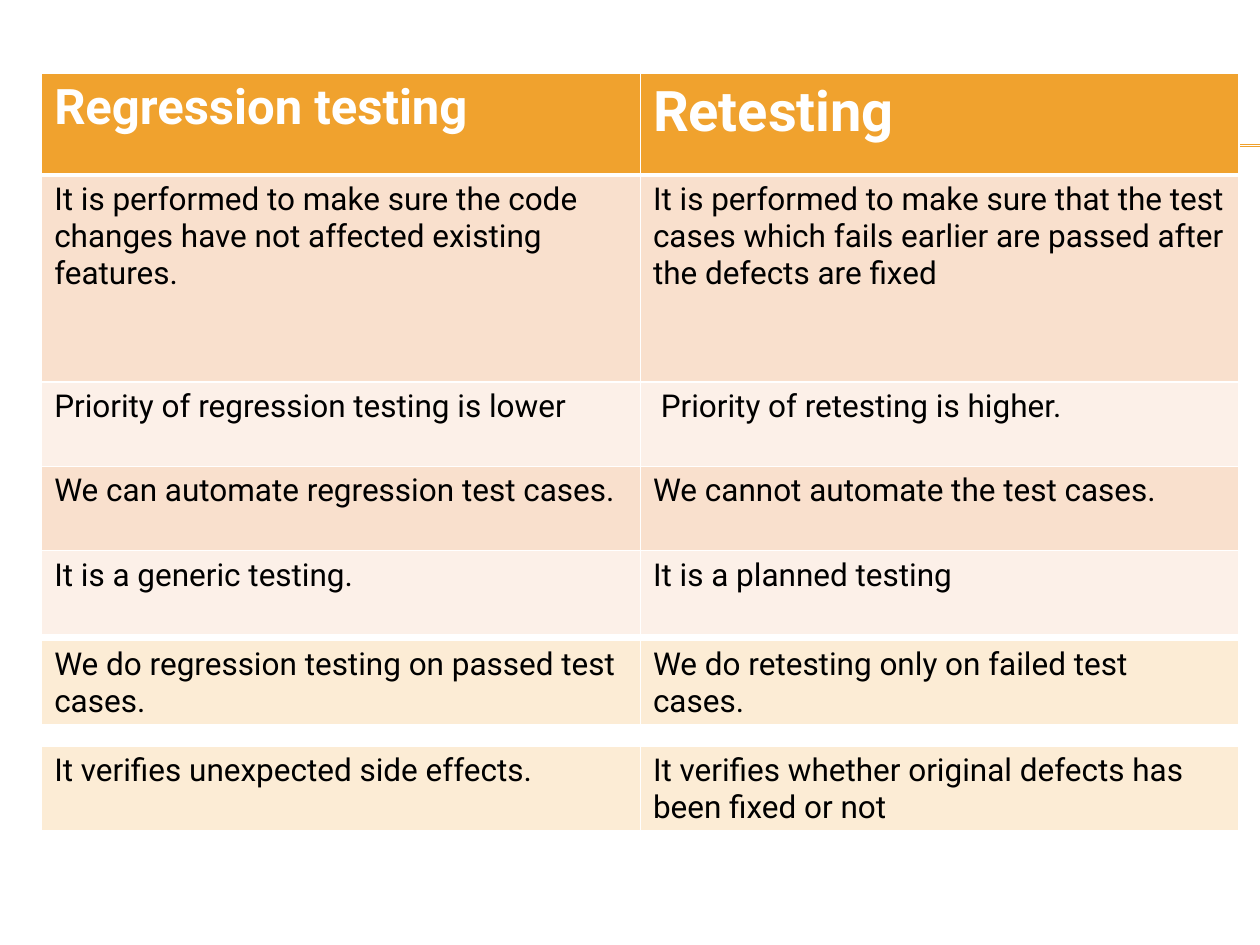
from lxml.etree import SubElement as Sub
from pptx import Presentation as Deck
from pptx.dml.color import RGBColor as Rgb
from pptx.enum.shapes import MSO_CONNECTOR as Link
from pptx.oxml.ns import qn
from pptx.util import Cm, Pt

hues = {"gold": "F0A22E", "white": "FFFFFF", "black": "000000",
        "peach": "F9E0CD", "blush": "FCF0E8", "cream": "FCECD5"}
body = {"name": "Roboto", "size": Pt(18), "bold": False}
head = {"name": "Roboto", "size": Pt(28), "bold": True}
main = [
    (2.06, "gold", "Regression testing", "Retesting"),
    (4.17, "peach",
     "It is performed to make sure the code changes have not affected existing features.",
     "It is performed to make sure that the test cases which fails earlier are passed after the defects are fixed"),
    (1.7, "blush", "Priority of regression testing is lower", " Priority of retesting is higher."),
    (1.7, "peach", "We can automate regression test cases.", "We cannot automate the test cases."),
    (1.7, "blush", "It is a generic testing.", "It is a planned testing"),
]
scope = [(1.22, "cream", "We do regression testing on passed test cases.",
          "We do retesting only on failed test cases.")]
goal = [(0.81, "cream", "It verifies unexpected side effects.",
         "It verifies whether original defects has been fixed or not")]

deck = Deck()
deck.slide_width, deck.slide_height = Cm(25.4), Cm(19.05)
slide = deck.slides.add_slide(deck.slide_layouts[6])

for top in (2.92, 2.95):
    rule = slide.shapes.add_connector(Link.STRAIGHT, Cm(1.42), Cm(top), Cm(25.4), Cm(top))
    rule.line.color.rgb = Rgb.from_string(hues["gold"])
    rule.line.width = Pt(0.75)
    Sub(rule._element.spPr, qn("a:effectLst"))

for top, rows in ((1.47, main), (12.9, scope), (15.04, goal)):
    high = sum(row[0] for row in rows)
    grid = slide.shapes.add_table(len(rows), 2, Cm(0.84), Cm(top), Cm(24.13), Cm(high)).table
    for col in grid.columns:
        col.width = Cm(12.07)
    for r, (tall, fill, *texts) in enumerate(rows):
        grid.rows[r].height = Cm(tall)
        for c, text in enumerate(texts):
            cell = grid.cell(r, c)
            props = cell._tc.get_or_add_tcPr()
            wide = {"lnL": 1, "lnR": 1, "lnT": 3 if r == 1 else 1, "lnB": 3 if r == 0 else 1}
            for side, width in wide.items():
                edge = Sub(props, qn("a:" + side), w=str(Pt(width)))
                Sub(Sub(edge, qn("a:solidFill")), qn("a:srgbClr"), val=hues["white"])
            cell.fill.solid()
            cell.fill.fore_color.rgb = Rgb.from_string(hues[fill])
            cell.text = text
            font = cell.text_frame.paragraphs[0].runs[0].font
            top_row = fill == "gold"
            for key, value in (head if top_row else body).items():
                setattr(font, key, value)
            font.color.rgb = Rgb.from_string(hues["white" if top_row else "black"])
            if text == "Retesting":
                font.size = Pt(32)

deck.save("out.pptx")
